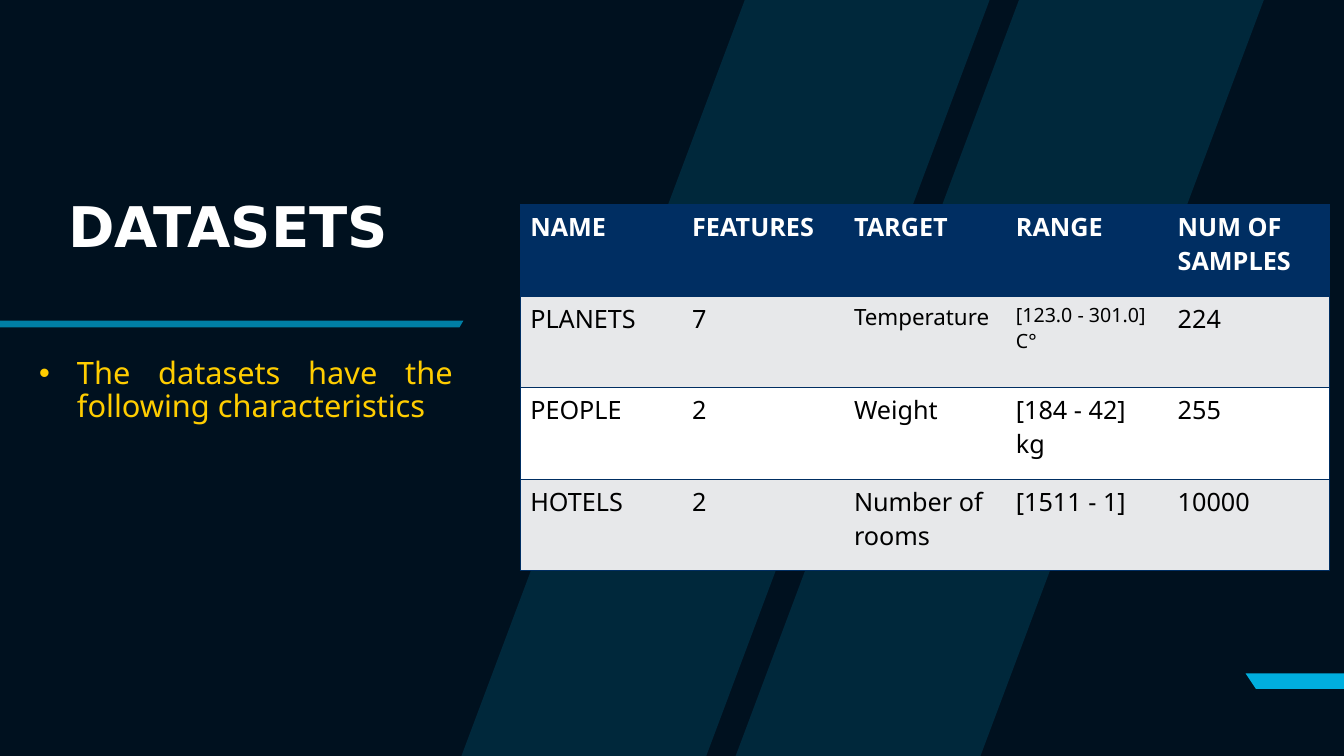
from dataclasses import dataclass

from lxml.etree import SubElement
from pptx import Presentation
from pptx.dml.color import RGBColor
from pptx.enum.text import MSO_ANCHOR, MSO_AUTO_SIZE, PP_ALIGN
from pptx.oxml.ns import qn
from pptx.util import Cm, Pt


@dataclass(frozen=True)
class Theme:
    night: str = "00111F"
    cyan: str = "00AEDE"
    yellow: str = "FFCD00"
    navy: str = "002E62"
    grey: str = "E7E8EA"
    white: str = "FFFFFF"
    black: str = "000000"
    heading: str = "DejaVu Sans"
    text: str = "Noto Sans"
    title_size: int = 40
    body_size: int = 22
    cell_size: int = 18
    temperature_size: int = 16
    small_range_size: int = 14


theme = Theme()


def format_text(paragraph, color, **values):
    for name, value in values.items():
        setattr(paragraph.font, name, value)
    paragraph.font.color.rgb = RGBColor.from_string(color)


def draw_polygons(polygons, opacity):
    builder = slide.shapes.build_freeform(Cm(polygons[0][0][0]), Cm(polygons[0][0][1]))
    for number, polygon in enumerate(polygons):
        points = [(Cm(x), Cm(y)) for x, y in polygon]
        if number:
            builder.move_to(*points[0])
        builder.add_line_segments(points[1:], close=True)
    outline = builder.convert_to_shape()
    outline.shadow.inherit = False
    outline.line.fill.background()
    outline.fill.solid()
    outline.fill.fore_color.rgb = RGBColor.from_string(theme.cyan)
    color = outline._element.spPr.find(qn("a:solidFill"))[0]
    SubElement(color, qn("a:alpha"), val=str(opacity * 1000))


deck = Presentation()
deck.slide_width, deck.slide_height = Cm(33.87), Cm(19.05)
slide = deck.slides.add_slide(deck.slide_layouts[5])
slide.background.fill.solid()
slide.background.fill.fore_color.rgb = RGBColor.from_string(theme.night)

slant, band_width, bottom = 7.14, 6.17, 19.05
bands = [
    [(x, 0), (x - slant, bottom), (x - slant + band_width, bottom), (x + band_width, 0)]
    for x in (25.68, 18.77)
]
draw_polygons(bands, 15)
draw_polygons([[(33.87, 16.97), (33.87, 17.36), (31.65, 17.36), (31.39, 16.97)]], 100)
draw_polygons([[(0, 8.08), (0, 8.25), (11.58, 8.25), (11.68, 8.08)]], 70)

title = slide.shapes.title
intro = slide.shapes.add_textbox(Cm(0.74), Cm(8.89), Cm(10.92), Cm(3.68))
title_place = {"left": Cm(1.47), "top": Cm(3.66), "width": Cm(9.8), "height": Cm(4.24)}
for name, value in title_place.items():
    setattr(title, name, value)

for holder, words, anchor, alignment in (
    (title, "DATASETS", MSO_ANCHOR.MIDDLE, PP_ALIGN.LEFT),
    (intro, "The datasets have the following characteristics", MSO_ANCHOR.TOP, PP_ALIGN.JUSTIFY),
):
    frame_format = {
        "text": words,
        "word_wrap": True,
        "auto_size": MSO_AUTO_SIZE.NONE,
        "vertical_anchor": anchor,
    }
    for name, value in frame_format.items():
        setattr(holder.text_frame, name, value)
    paragraph = holder.text_frame.paragraphs[0]
    paragraph.alignment = alignment
    paragraph.line_spacing = 0.9

format_text(title.text_frame.paragraphs[0], theme.white,
            name=theme.heading, size=Pt(theme.title_size), bold=True)
intro_line = intro.text_frame.paragraphs[0]
bullet = intro_line._p.get_or_add_pPr()
bullet.set("marL", str(Cm(0.95)))
bullet.set("indent", str(-Cm(0.95)))
SubElement(bullet, qn("a:buFont"), typeface="Arial")
SubElement(bullet, qn("a:buChar"), char="•")
format_text(intro_line, theme.yellow, name=theme.text, size=Pt(theme.body_size))

datasets = [
    ("NAME", "FEATURES", "TARGET", "RANGE", "NUM OF SAMPLES"),
    ("PLANETS", "7", "Temperature", "[123.0 - 301.0] C°", "224"),
    ("PEOPLE", "2", "Weight", "[184 - 42] kg", "255"),
    ("HOTELS", "2", "Number of rooms", "[1511 - 1]", "10000"),
]
special_sizes = {(1, 2): theme.temperature_size, (1, 3): theme.small_range_size}
row_fills = [theme.navy, theme.grey, theme.white, theme.grey]
last_column = len(datasets[0]) - 1

grid = slide.shapes.add_table(
    len(datasets), len(datasets[0]), Cm(13.11), Cm(5.16), Cm(20.4), Cm(9.22))
table = grid.table
table.horz_banding = False
table._tbl.tblPr.find(qn("a:tableStyleId")).text = "{2D5ABB26-0587-4C30-8999-92F81FD0307C}"

for row, record in enumerate(datasets):
    for column, words in enumerate(record):
        cell = table.cell(row, column)
        cell.text = words
        format_text(
            cell.text_frame.paragraphs[0],
            theme.black if row else theme.white,
            name=theme.text,
            size=Pt(special_sizes.get((row, column), theme.cell_size)),
            bold=row == 0,
        )
        borders = {"a:lnL": column == 0, "a:lnR": column == last_column,
                   "a:lnT": True, "a:lnB": True}
        for side, shown in borders.items():
            if shown:
                border = SubElement(cell._tc.get_or_add_tcPr(), qn(side), w=str(Pt(1)))
                border_fill = SubElement(border, qn("a:solidFill"))
                SubElement(border_fill, qn("a:srgbClr"), val=theme.navy)
        cell.fill.solid()
        cell.fill.fore_color.rgb = RGBColor.from_string(row_fills[row])

deck.save("out.pptx")
